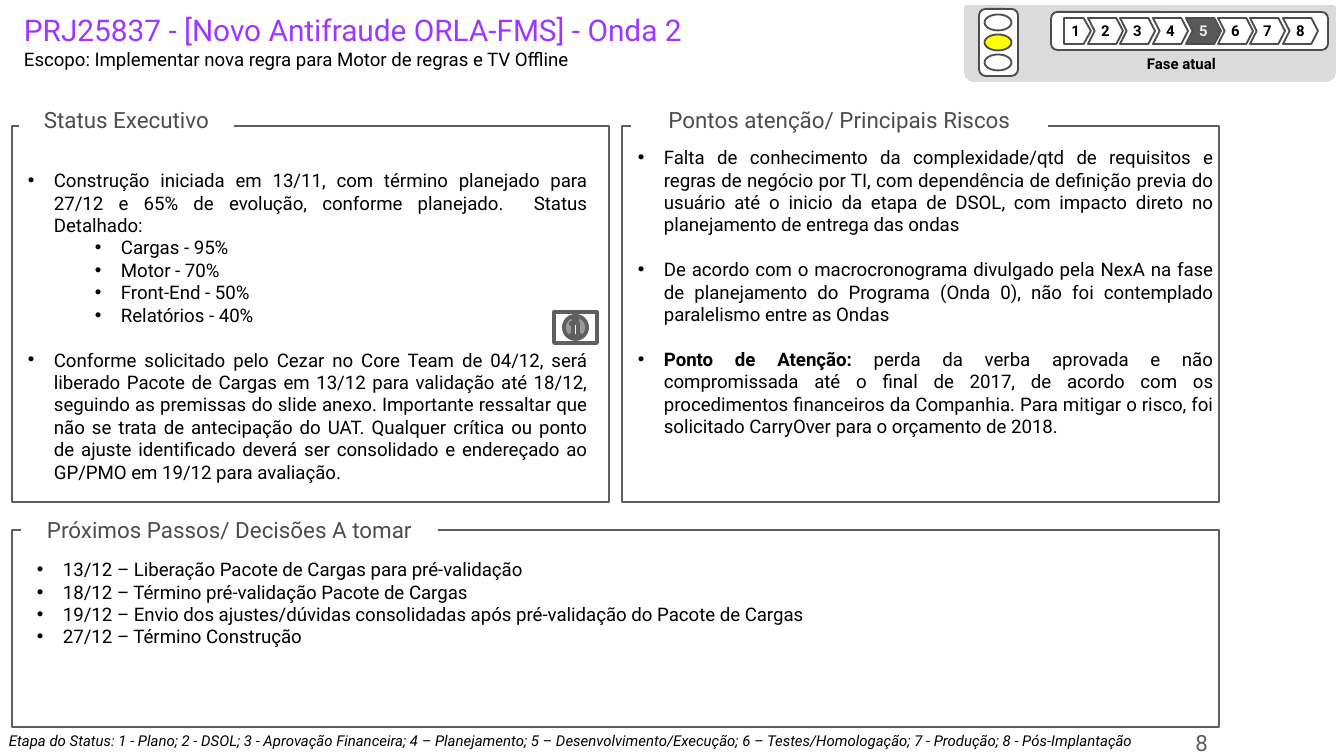
from lxml.etree import SubElement
from pptx import Presentation
from pptx.dml.color import RGBColor
from pptx.enum.shapes import MSO_SHAPE as Shape
from pptx.enum.text import MSO_ANCHOR as Anchor, PP_ALIGN as Align
from pptx.oxml.ns import qn
from pptx.util import Pt

PX = 914400 / 134.4
COLORS = {
    "white": "FFFFFF", "black": "000000", "purple": "A037FF",
    "slab": "DBDBDC", "outline": "4D4D4D", "frame": "5F5F5F",
    "current": "595959", "cream": "EEECE1", "yellow": "FFFF00",
}
TIGHT = (5, 0, 5, 0)
ROOMY = (13, 7, 13, 7)


def px(value):
    return round(value * PX)


def color(name):
    return RGBColor.from_string(COLORS[name])


class StatusSlide:
    font = "Roboto"
    body_size = 10
    hang = 26
    level_step = 67

    def __init__(self, page):
        self.page = page

    def style(self, span, size, ink="black", bold=False, italic=False):
        span.font.name = self.font
        span.font.size = Pt(size)
        span.font.bold = bold
        span.font.italic = italic
        span.font.color.rgb = color(ink)

    def frame_text(self, box, insets, anchor, wrap=True):
        frame = box.text_frame
        frame.margin_left, frame.margin_top, frame.margin_right, frame.margin_bottom = map(px, insets)
        frame.vertical_anchor = anchor
        frame.word_wrap = wrap
        return frame

    def shape(self, kind, area, fill, line, width=1, rotation=0, adjust=()):
        shape = self.page.shapes.add_shape(kind, *map(px, area))
        shape.shadow.inherit = False
        shape.rotation = rotation
        for index, value in enumerate(adjust):
            shape.adjustments[index] = value
        if fill:
            shape.fill.solid()
            shape.fill.fore_color.rgb = color(fill)
        else:
            shape.fill.background()
        shape.line.color.rgb = color(line)
        shape.line.width = Pt(width)
        return shape

    def label(self, shape, text, size, ink="black", align=Align.CENTER,
              anchor=Anchor.MIDDLE, insets=TIGHT, wrap=False, **look):
        """Write one styled line in a shape or text box."""
        frame = self.frame_text(shape, insets, anchor, wrap)
        frame.text = text
        para = frame.paragraphs[0]
        para.alignment = align
        self.style(para.runs[0], size, ink, **look)

    def text_box(self, area):
        return self.page.shapes.add_textbox(*map(px, area))

    def panel(self, area):
        self.shape(Shape.RECTANGLE, area, None, "frame")

    def heading(self, area, text):
        """Put a white tab with the panel's name over its top border."""
        tab = self.shape(Shape.ROUNDED_RECTANGLE, area, "white", "white", 2)
        self.label(tab, text, 12, "outline")

    def bullets(self, area, items, insets=ROOMY, align=Align.JUSTIFY):
        """Each item is level, points before, texts; of two texts the first is bold."""
        frame = self.frame_text(self.text_box(area), insets, Anchor.TOP)
        for index, (level, gap, *texts) in enumerate(items):
            para = frame.add_paragraph() if index else frame.paragraphs[0]
            para.alignment = align
            para.level = level
            if gap:
                para.space_before = Pt(gap)
            props = para._p.get_or_add_pPr()
            props.set("marL", str(px(self.hang + level * self.level_step)))
            props.set("indent", str(px(-self.hang)))
            SubElement(props, qn("a:buFont")).set("typeface", "Arial")
            SubElement(props, qn("a:buChar")).set("char", "•")
            for text in texts:
                span = para.add_run()
                span.text = text
                self.style(span, self.body_size, bold=len(texts) == 2 and text == texts[0])

    def title(self, area, lines):
        frame = self.frame_text(self.text_box(area), (0, 0, 0, 0), Anchor.TOP)
        frame.text = "\n".join(text for text, _, _ in lines)
        for para, (_, size, ink) in zip(frame.paragraphs, lines):
            self.style(para.runs[0], size, ink)

    def phases(self, count, current, open_phase):
        """Draw the numbered chain of phases; open_phase has no fill."""
        self.shape(Shape.ROUNDED_RECTANGLE, (1051, 12, 277, 38), "white", "outline")
        for number in range(1, count + 1):
            if number == 1:
                kind, area, bend = Shape.PENTAGON, (1064, 18, 27, 26), 0.28
            else:
                kind, area, bend = Shape.CHEVRON, (1088 + round(32.5 * (number - 2)), 18, 35, 26), 0.255
            fill = {current: "current", open_phase: None}.get(number, "white")
            step = self.shape(kind, area, fill, "outline", adjust=[bend])
            self.label(step, str(number), 8, "cream" if number == current else "black", bold=True)

    def traffic_light(self, lamps):
        self.shape(Shape.ROUNDED_RECTANGLE, (965, 23, 67, 39), "white", "outline", rotation=90)
        for index, fill in enumerate(lamps):
            self.shape(Shape.OVAL, (990, 9 + 20 * index, 16, 27), fill, "outline", rotation=90)


def main():
    deck = Presentation()
    deck.slide_width, deck.slide_height = px(1344), px(756)
    slide = StatusSlide(deck.slides.add_slide(deck.slide_layouts[6]))

    slide.bullets((633, 141, 585, 349), [
        (0, 0, "Falta de conhecimento da complexidade/qtd de requisitos e regras de negócio por TI, "
               "com dependência de definição previa do usuário até o inicio da etapa de DSOL, "
               "com impacto direto no planejamento de entrega das ondas"),
        (0, 12, "De acordo com o macrocronograma divulgado pela NexA na fase de planejamento do "
                "Programa (Onda 0), não foi contemplado paralelismo entre as Ondas"),
        (0, 12, "Ponto de Atenção: ",
         "perda da verba aprovada e não compromissada até o final de 2017, de acordo com os "
         "procedimentos financeiros da Companhia. Para mitigar o risco, foi solicitado CarryOver "
         "para o orçamento de 2018."),
    ], insets=(5, 5, 5, 5))
    slide.label(slide.text_box((1156, 727, 65, 32)), "8", 12, "frame",
                align=Align.RIGHT, insets=ROOMY, wrap=True)

    slide.shape(Shape.ROUND_2_SAME_RECTANGLE, (966, 7, 368, 73), "slab", "slab", 2,
                rotation=180, adjust=[0.106, 0])
    slide.label(slide.text_box((1089, 55, 185, 18)), "Fase atual", 8,
                anchor=Anchor.BOTTOM, insets=(5, 5, 5, 0), bold=True)
    slide.phases(8, current=5, open_phase=6)
    slide.traffic_light(["white", "yellow", None])

    slide.panel((622, 126, 597, 376))
    slide.panel((12, 126, 597, 376))
    slide.heading((21, 105, 211, 30), "Status Executivo")
    slide.heading((633, 105, 413, 30), "Pontos atenção/ Principais Riscos")
    slide.panel((12, 530, 1207, 197))
    slide.heading((23, 515, 413, 30), "Próximos Passos/ Decisões A tomar")

    legend = slide.shape(Shape.RECTANGLE, (-4, 732, 1222, 26), None, "white")
    slide.label(legend, "Etapa do Status: 1 - Plano; 2 - DSOL; 3 - Aprovação Financeira; "
                "4 – Planejamento; 5 – Desenvolvimento/Execução; 6 – Testes/Homologação; "
                "7 - Produção; 8 - Pós-Implantação", 8, align=Align.LEFT,
                anchor=Anchor.TOP, insets=(13, 0, 13, 0), wrap=True, italic=True)

    slide.title((24, 12, 699, 78), [
        ("PRJ25837 - [Novo Antifraude ORLA-FMS] - Onda 2", 16, "purple"),
        ("Escopo: Implementar nova regra para Motor de regras e TV Offline", 10, "black"),
    ])
    slide.bullets((15, 162, 585, 331), [
        (0, 0, "Construção iniciada em 13/11, com término planejado para 27/12 e 65% de evolução, "
               "conforme planejado.  Status Detalhado:"),
        (1, 0, "Cargas - 95%"),
        (1, 0, "Motor - 70%"),
        (1, 0, "Front-End - 50%"),
        (1, 0, "Relatórios - 40%"),
        (0, 12, "Conforme solicitado pelo Cezar no Core Team de 04/12, será liberado Pacote de "
                "Cargas em 13/12 para validação até 18/12, seguindo as premissas do slide anexo. "
                "Importante ressaltar que não se trata de antecipação do UAT. Qualquer crítica ou "
                "ponto de ajuste identificado deverá ser consolidado e endereçado ao GP/PMO em "
                "19/12 para avaliação."),
    ])
    slide.bullets((24, 551, 1193, 195), [
        (0, 0, "13/12 – Liberação Pacote de Cargas para pré-validação"),
        (0, 0, "18/12 – Término pré-validação Pacote de Cargas"),
        (0, 0, "19/12 – Envio dos ajustes/dúvidas consolidadas após pré-validação do Pacote de Cargas"),
        (0, 0, "27/12 – Término Construção"),
    ], align=Align.LEFT)
    slide.shape(Shape.ACTION_BUTTON_INFORMATION, (554, 312, 43, 31), "white", "frame", 2)

    deck.save("out.pptx")


if __name__ == "__main__":
    main()
